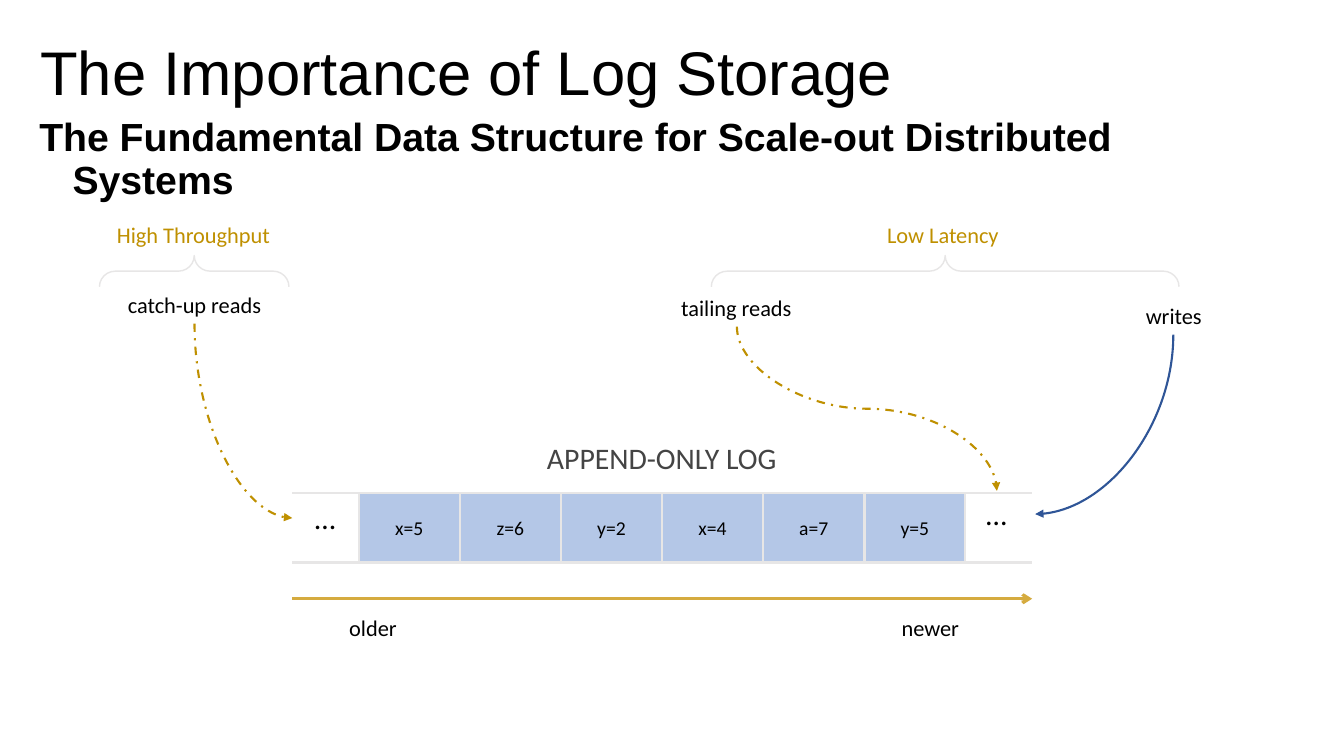
from lxml.etree import SubElement
from pptx import Presentation
from pptx.dml.color import RGBColor
from pptx.enum.dml import MSO_LINE
from pptx.enum.shapes import MSO_CONNECTOR, MSO_SHAPE
from pptx.enum.text import MSO_ANCHOR, MSO_AUTO_SIZE, PP_ALIGN
from pptx.oxml.ns import qn
from pptx.util import Inches, Pt

BLACK = RGBColor(0x00, 0x00, 0x00)
CHARCOAL = RGBColor(0x44, 0x44, 0x44)
PALE_GRAY = RGBColor(0xE7, 0xE6, 0xE6)
PALE_BLUE = RGBColor(0xB4, 0xC7, 0xE7)
DARK_BLUE = RGBColor(0x2F, 0x55, 0x97)
GOLD = RGBColor(0xBF, 0x90, 0x00)
LIGHT_GOLD = RGBColor(0xD5, 0xAB, 0x3F)

COLUMNS, ROWS = 40, 30


def write(shape, text, size=16, font="Calibri", color=BLACK, bold=False,
          align=PP_ALIGN.CENTER, anchor=MSO_ANCHOR.TOP, wrap=True, grow=False,
          side_inset=0.1, spacing=None, before=None, hanging=None):
    """Put one formatted paragraph into a shape."""
    frame = shape.text_frame
    frame.word_wrap = wrap
    frame.auto_size = MSO_AUTO_SIZE.SHAPE_TO_FIT_TEXT if grow else MSO_AUTO_SIZE.NONE
    frame.vertical_anchor = anchor
    frame.margin_left = frame.margin_right = Inches(side_inset)
    frame.margin_top = frame.margin_bottom = Inches(0.05)
    para = frame.paragraphs[0]
    para.alignment = align
    if spacing:
        para.line_spacing = spacing
    if before:
        para.space_before = Pt(before)
    if hanging:
        properties = para._p.get_or_add_pPr()
        properties.set("marL", str(Inches(hanging)))
        properties.set("indent", str(-Inches(hanging)))
    span = para.add_run()
    span.text = text
    span.font.size = Pt(size)
    span.font.name = font
    span.font.bold = bold
    span.font.color.rgb = color


class SlideBuilder:
    """Holds the grid and the current slide; lengths are columns and rows."""

    def __init__(self, deck):
        self.column = deck.slide_width / COLUMNS
        self.row = deck.slide_height / ROWS
        self.page = deck.slides.add_slide(deck.slide_layouts[5])
        self.shapes = self.page.shapes

    def place(self, left, top, width, height):
        return (round(left * self.column), round(top * self.row),
                round(width * self.column), round(height * self.row))

    def title(self, text, area, **style):
        box = self.shapes.title
        box.left, box.top, box.width, box.height = self.place(*area)
        write(box, text, **style)

    def text(self, text, area, **style):
        write(self.shapes.add_textbox(*self.place(*area)), text, **style)

    def label(self, text, left, top, width, height=1.48, **style):
        self.text(text, (left, top, width, height), wrap=False, grow=True, **style)

    def cell(self, text, area):
        box = self.shapes.add_shape(MSO_SHAPE.RECTANGLE, *self.place(*area))
        box.shadow.inherit = False
        box.fill.solid()
        box.fill.fore_color.rgb = PALE_BLUE
        self.outline(box.line, PALE_GRAY, 1.5)
        write(box, text, size=14, anchor=MSO_ANCHOR.MIDDLE, side_inset=0)

    def brace(self, center, middle, length, depth=1.24):
        """A left brace turned to point upwards, centred on a grid point."""
        x, y, span, thickness = self.place(center, middle, length, depth)
        brace = self.shapes.add_shape(MSO_SHAPE.LEFT_BRACE, x - thickness // 2,
                                      y - span // 2, thickness, span)
        brace.rotation = 90
        brace.adjustments[0] = 0.506
        brace.shadow.inherit = False
        brace.fill.background()
        self.outline(brace.line, PALE_GRAY, 1)

    def outline(self, line, color, width, dash=None):
        line.color.rgb = color
        line.width = Pt(width)
        if dash:
            line.dash_style = dash

    def finish(self, connector, color, width, dash=None, head=None):
        self.outline(connector.line, color, width, dash)
        properties = connector._element.spPr
        if head:
            SubElement(properties.find(qn("a:ln")), qn("a:tailEnd"), type=head)
        SubElement(properties, qn("a:effectLst"))

    def rule(self, left, right, level, color, width, head=None):
        x1, y, x2, _ = self.place(left, level, right, 0)
        line = self.shapes.add_connector(MSO_CONNECTOR.STRAIGHT, x1, y, x2, y)
        self.finish(line, color, width, head=head)

    def curve(self, start, end, preset, color, dash=None):
        """A curve that leaves downwards: a quarter-turned connector."""
        x1, y1, x2, y2 = self.place(*start, *end)
        across, down = abs(x2 - x1), abs(y2 - y1)
        left, top = (x1 + x2 - down) // 2, (y1 + y2 - across) // 2
        begin, finish = left, left + down
        rightward = x2 > x1
        if rightward:
            begin, finish = finish, begin
        curve = self.shapes.add_connector(MSO_CONNECTOR.CURVE, begin, top,
                                          finish, top + across)
        properties = curve._element.spPr
        turn = 270 if rightward else 90
        properties.find(qn("a:xfrm")).set("rot", str(turn * 60000))
        properties.find(qn("a:prstGeom")).set("prst", preset)
        self.finish(curve, color, 1.5, dash, "triangle")


deck = Presentation()
deck.slide_width, deck.slide_height = Inches(13.333), Inches(7.5)
slide = SlideBuilder(deck)

# Headings
heading = dict(font="Arial", align=PP_ALIGN.LEFT, side_inset=0, spacing=0.9)
slide.title("The Importance of Log Storage", (1.2, 1.56, 34.65, 2.84),
            size=44, anchor=MSO_ANCHOR.MIDDLE, **heading)
slide.text("The Fundamental Data Structure for Scale-out Distributed Systems",
           (1.17, 4.48, 34.68, 1.84), size=28, bold=True, before=10,
           hanging=0.33, **heading)

# Append-only log
LOG_LEFT, LOG_RIGHT, LOG_TOP, LOG_HEIGHT = 8.7, 30.72, 19.56, 2.76
CELL_LEFT, CELL_WIDTH, CELL_PITCH = 10.68, 3, 3.01
slide.label("APPEND-ONLY LOG", 15.93, 17.24, 7.53, 1.84, size=21.3, color=CHARCOAL)
for index, entry in enumerate(["x=5", "z=6", "y=2", "x=4", "a=7", "y=5"]):
    slide.cell(entry, (CELL_LEFT + index * CELL_PITCH, LOG_TOP, CELL_WIDTH, LOG_HEIGHT))
for level in (LOG_TOP, LOG_TOP + LOG_HEIGHT):
    slide.rule(LOG_LEFT, LOG_RIGHT, level, PALE_GRAY, 1.5)
for left, top, width in ((LOG_LEFT, 19.64, 1.95), (28.5, 19.48, 2.31)):
    slide.text("…", (left, top, width, 1.84), size=21.3, grow=True)

# Time axis
slide.rule(LOG_LEFT, LOG_RIGHT, 23.76, LIGHT_GOLD, 2.25, head="arrow")
slide.label("older", 10.08, 24.16, 2.04)
slide.label("newer", 26.52, 24.16, 2.34)

# Performance goals and their braces
slide.label("High Throughput", 3.15, 8.56, 5.22, color=GOLD)
slide.label("Low Latency", 26.07, 8.56, 3.99, color=GOLD)
for center, length in ((5.78, 5.64), (28.13, 13.92)):
    slide.brace(center, 10.76, length)

# Readers and writers
slide.label("catch-up reads", 3.48, 11.36, 4.62)
slide.label("tailing reads", 19.95, 11.48, 3.93)
slide.label("writes", 33.78, 11.8, 2.31)
slide.curve((5.79, 12.84), (LOG_LEFT, 20.56), "curvedConnector2", GOLD, MSO_LINE.DASH_DOT)
slide.curve((21.93, 12.96), (29.67, 19.48), "curvedConnector3", GOLD, MSO_LINE.DASH_DOT)
slide.curve((34.92, 13.28), (30.81, 20.4), "curvedConnector2", DARK_BLUE)

deck.save("out.pptx")
